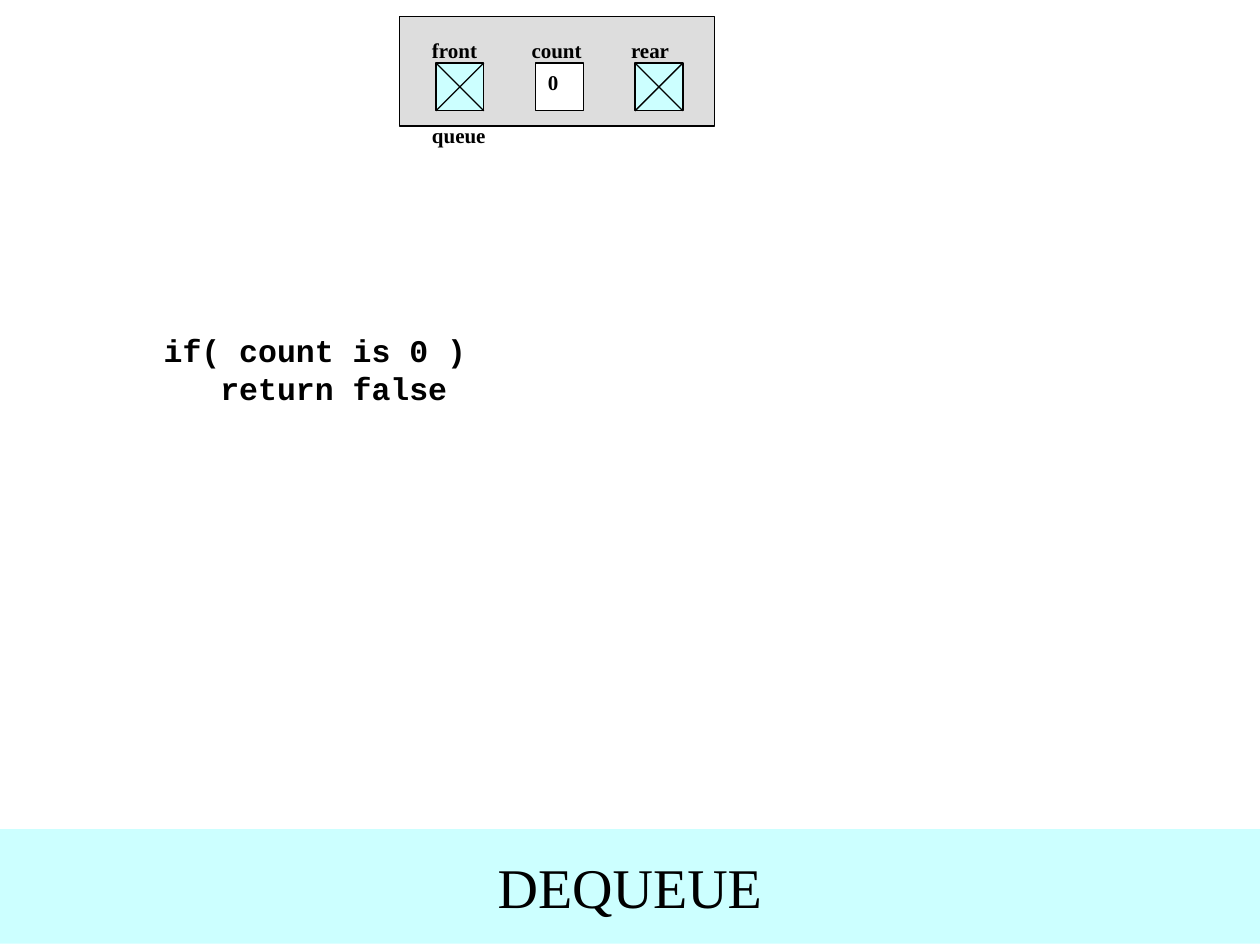
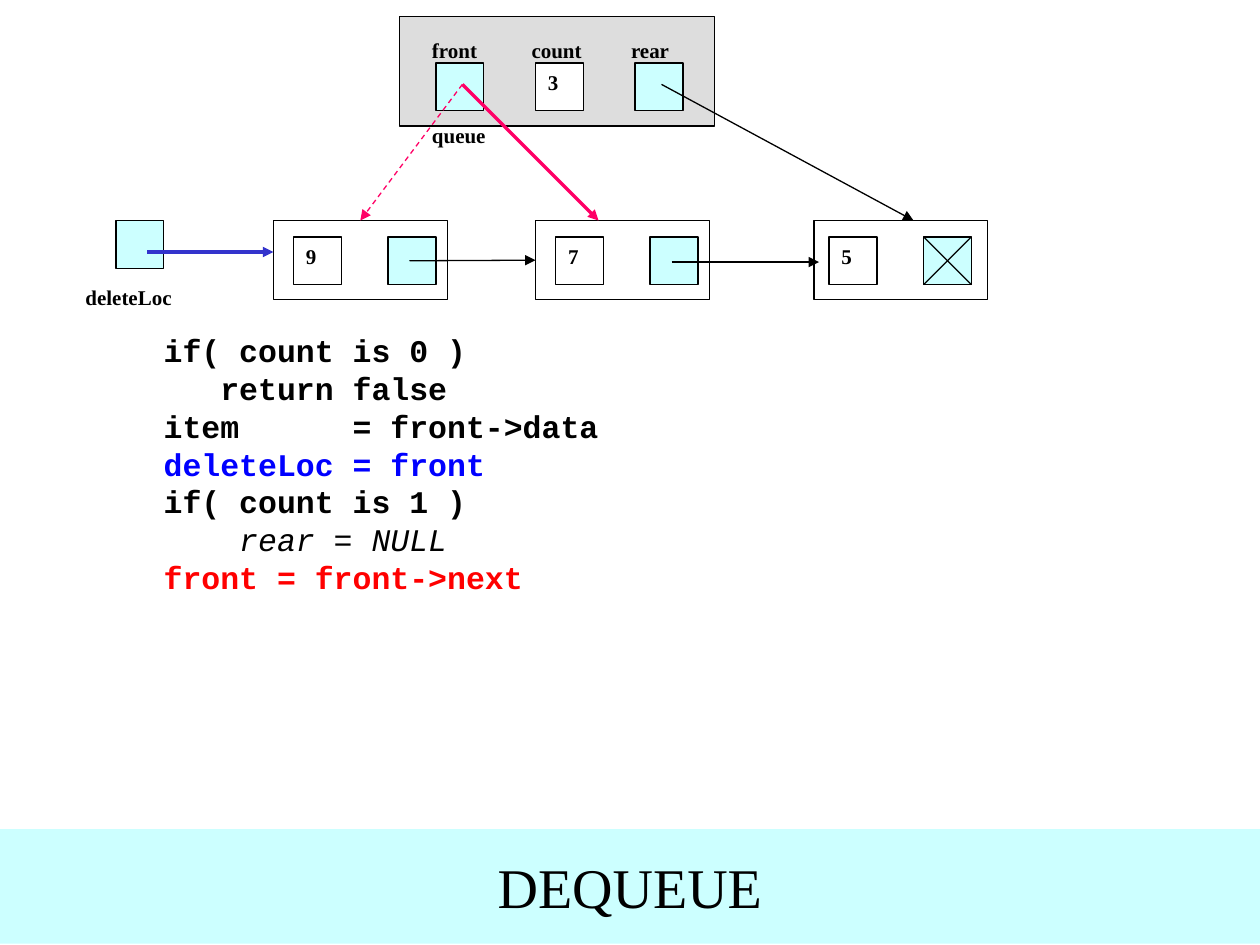
from lxml import etree
from pptx import Presentation
from pptx.dml.color import RGBColor
from pptx.enum.dml import MSO_LINE
from pptx.enum.shapes import MSO_CONNECTOR, MSO_SHAPE
from pptx.enum.text import MSO_ANCHOR, PP_ALIGN
from pptx.oxml.ns import qn
from pptx.util import Inches, Pt

RECT = MSO_SHAPE.RECTANGLE
STRAIGHT = MSO_CONNECTOR.STRAIGHT
DASH = MSO_LINE.DASH
TOP, MIDDLE = MSO_ANCHOR.TOP, MSO_ANCHOR.MIDDLE
LEFT, CENTER = PP_ALIGN.LEFT, PP_ALIGN.CENTER
TOP_SIDE, LEFT_SIDE = 0, 1

BLACK = RGBColor(0, 0, 0)
WHITE = RGBColor(255, 255, 255)
GRAY = RGBColor(0xDD, 0xDD, 0xDD)
CYAN = RGBColor(0xCC, 0xFF, 0xFF)
PINK = RGBColor(0xFF, 0, 0x66)
INDIGO = RGBColor(0x33, 0x33, 0xCC)
BLUE = RGBColor(0, 0, 255)
RED = RGBColor(255, 0, 0)

SERIF, MONO = "Times New Roman", "Courier New"
CELL = 0.38
NODE_TOP = 1.75

GUARD = [("   if( count is 0 )", BLACK), ("      return false", BLACK)]
REST = [
    ("   item      = front->data", BLACK),
    ("   deleteLoc = front", BLUE),
    ("   if( count is 1 )", BLACK),
    ("       rear = NULL", None),
    ("   front = front->next", RED),
]


def style(para, size, name, color=BLACK, bold=True, italic=False):
    """Set the font of a whole paragraph."""
    font = para.font
    font.size, font.name = Pt(size), name
    font.bold, font.italic = bold, italic
    font.color.rgb = color


def rect(slide, x, y, w, h, fill, edge=True):
    """Draw a plain rectangle, with or without a thin black edge."""
    shape = slide.shapes.add_shape(RECT, Inches(x), Inches(y), Inches(w), Inches(h))
    shape.shadow.inherit = False
    shape.fill.solid()
    shape.fill.fore_color.rgb = fill
    if edge:
        shape.line.color.rgb = BLACK
        shape.line.width = Pt(0.75)
    else:
        shape.line.fill.background()
    return shape


def write(shape, text, size=12, bold=True, anchor=TOP, align=LEFT):
    """Put one serif paragraph in a shape."""
    frame = shape.text_frame
    frame.vertical_anchor = anchor
    para = frame.paragraphs[0]
    para.text, para.alignment = text, align
    style(para, size, SERIF, bold=bold)


def label(slide, x, y, w, text, fill=WHITE):
    """Draw a borderless caption."""
    write(rect(slide, x, y, w, CELL, fill, edge=False), text)


def line(slide, start, end, color=BLACK, width=0.75, dash=None, arrow=True):
    """Draw a straight line, by default with an arrowhead at its end."""
    ends = [Inches(v) for v in (*start, *end)]
    link = slide.shapes.add_connector(STRAIGHT, *ends)
    link.line.color.rgb = color
    link.line.width = Pt(width)
    if dash is not None:
        link.line.dash_style = dash
    if arrow:
        etree.SubElement(link.line._get_or_add_ln(), qn("a:tailEnd"), type="triangle")
    etree.SubElement(link._element.spPr, qn("a:effectLst"))
    return link


def cell(slide, x, y, value=None, null=False):
    """Draw a white value cell, or a cyan pointer cell crossed out when null."""
    box = rect(slide, x, y, CELL, CELL, CYAN if value is None else WHITE)
    if value is not None:
        write(box, value)
    if null:
        right, low = x + CELL, y + CELL
        line(slide, (right, y), (x, low), arrow=False)
        line(slide, (x, y), (right, low), arrow=False)


def head(slide, x, y, count, null=False):
    """Draw the queue header with its front, count and rear fields."""
    label(slide, x + 0.16, y + 0.79, 0.75, "queue")
    rect(slide, x, y, 2.5, 0.87, GRAY)
    fields = [("front", 0.58, None), ("count", 0.62, count), ("rear", 0.58, None)]
    for i, (name, width, value) in enumerate(fields):
        left = x + 0.16 + i * 0.79
        label(slide, left, y + 0.12, width, name, GRAY)
        cell(slide, left + 0.13, y + 0.37, value, null and value is None)


def node(slide, x, y, value, inset=0.16, null=False):
    """Draw a list node with a value cell and a link cell."""
    box = rect(slide, x, y, 1.38, 0.63, WHITE)
    cell(slide, x + inset, y + 0.13, value)
    cell(slide, x + inset + 0.75, y + 0.13, null=null)
    return box


def code(slide, x, y, w, h, rows):
    """Write code rows; a row without a colour is a slanted light one."""
    frame = slide.shapes.add_textbox(
        Inches(x), Inches(y), Inches(w), Inches(h)).text_frame
    frame.word_wrap = True
    for i, (text, color) in enumerate(rows):
        para = frame.add_paragraph() if i else frame.paragraphs[0]
        para.text = text
        plain = color is None
        style(para, 18, MONO, BLACK if plain else color, not plain, plain)


def chain(slide, y):
    """Draw the three nodes, the deleteLoc pointer and all arrows."""
    first = node(slide, 2.17, y, "9")
    second = node(slide, 4.25, y, "7")
    node(slide, 6.46, y, "5", inset=0.12, null=True)
    label(slide, 0.58, y + 0.46, 0.92, "deleteLoc")
    cell(slide, 0.92, y)

    mid = y + 0.32
    step = line(slide, (3.25, mid), (4.25, mid))
    step.end_connect(second, LEFT_SIDE)
    line(slide, (5.33, y + 0.33), (6.5, y + 0.33))

    front = (3.67, 0.67)
    line(slide, front, (4.75, y), PINK, 2)
    line(slide, (5.25, 0.67), (7.25, y))
    line(slide, (1.17, y + 0.25), (2.17, y + 0.25), INDIGO, 2)
    old = line(slide, front, (2.83, y), PINK, dash=DASH)
    old.end_connect(first, TOP_SIDE)


def band(slide, x, y, w, h):
    """Draw the title band at the foot."""
    box = rect(slide, x, y, w, h, CYAN, edge=False)
    write(box, "DEQUEUE", 32, False, MIDDLE, CENTER)
    box.text_frame.word_wrap = False


def page(deck, count, rows, height, null=False):
    """Add a slide with the header, the code and the title band."""
    slide = deck.slides.add_slide(deck.slide_layouts[6])
    head(slide, 3.17, 0.13, count, null)
    code(slide, 0.75, 2.58, 8.08, height, rows)
    band(slide, 0, 6.58, 10, 0.91)
    return slide


def main():
    """Build both slides and save them."""
    deck = Presentation()
    deck.slide_width, deck.slide_height = Inches(10), Inches(7.5)
    page(deck, "0", GUARD, 3.7, null=True)
    chain(page(deck, "3", GUARD + REST, 2.8), NODE_TOP)
    deck.save("out.pptx")


if __name__ == "__main__":
    main()
